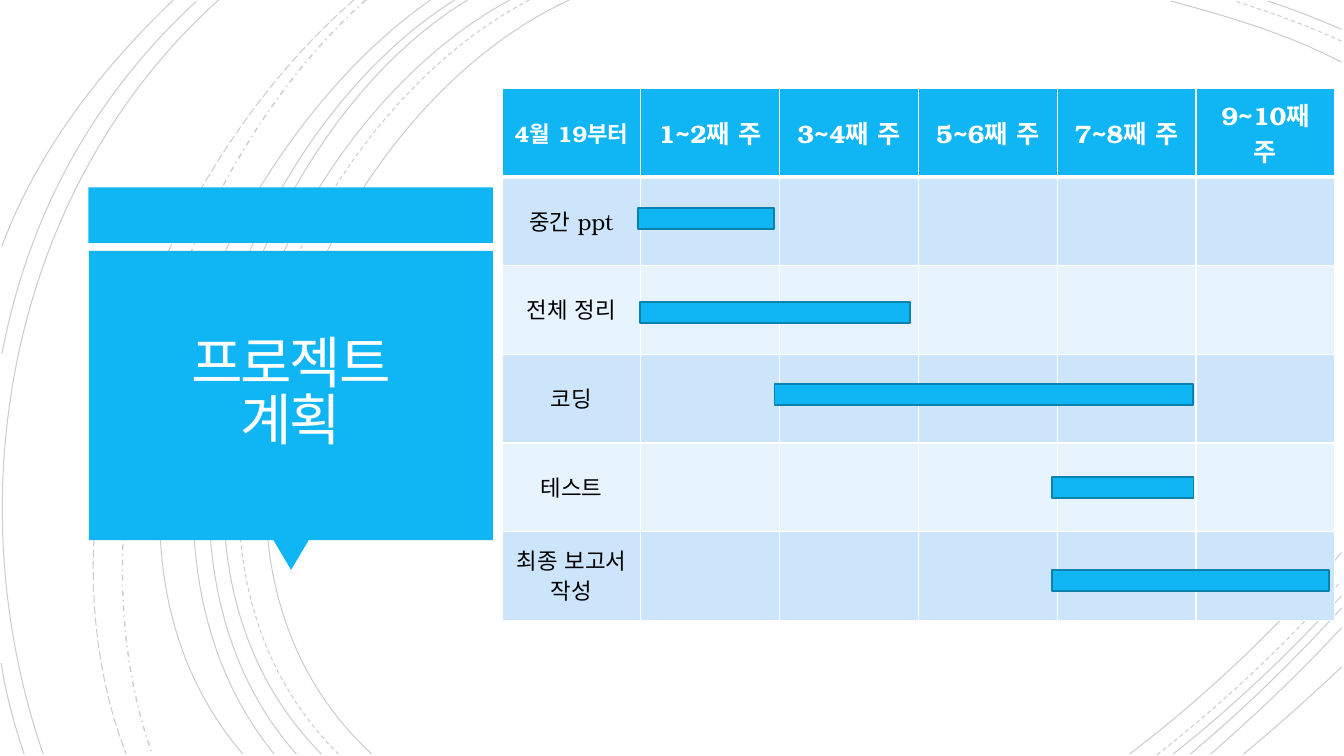
from lxml import etree
from pptx import Presentation
from pptx import util as u
from pptx.dml import color
from pptx.enum import dml, shapes, text
from pptx.oxml import ns

SKY, OUTLINE, WHITE, BLACK = "10B6F4", "0B81AD", "FFFFFF", "000000"
BANDS = ("CCE5FB", "E7F3FD")
SOLID, DASH, LONG, DASH_DOT = (dml.MSO_LINE.SOLID, dml.MSO_LINE.DASH,
                               dml.MSO_LINE.LONG_DASH, dml.MSO_LINE.DASH_DOT)
CENTER, MIDDLE = text.PP_ALIGN.CENTER, text.MSO_ANCHOR.MIDDLE

# Background arcs in cm: start, two control points, end, dash style
ARCS = [
    ((14.35, 0), (8, 2.92), (3.63, 13.72), (9.37, 19), SOLID),
    ((33.81, 1.57), (32.46, 0.86), (30.94, 0.41), (29.51, 0.03), SOLID),
    ((28.47, 19), (30.4, 17.53), (32.23, 15.8), (33.81, 13.92), SOLID),
    ((13.34, 0), (7.24, 3.18), (3.12, 13.64), (8.53, 19), DASH),
    ((33.81, 1.04), (32.94, 0.64), (32, 0.3), (31.12, 0.03), DASH),
    ((29.16, 19.02), (30.81, 17.73), (32.39, 16.26), (33.78, 14.66), DASH),
    ((12.85, 0), (6.86, 3.23), (2.79, 13.64), (8.1, 19), SOLID),
    ((33.81, 0.74), (33.2, 0.48), (32.59, 0.23), (31.95, 0.03), SOLID),
    ((29.57, 19), (31.06, 17.81), (32.51, 16.46), (33.81, 15.01), SOLID),
    ((11.79, 0), (6.2, 3.38), (2.79, 13.74), (7.47, 19), SOLID),
    ((30, 19), (31.34, 17.88), (32.61, 16.64), (33.81, 15.32), SOLID),
    ((11.46, 0), (5.87, 3.51), (2.46, 13.54), (6.91, 19), SOLID),
    ((30.51, 19), (31.65, 18.01), (32.77, 16.94), (33.81, 15.82), SOLID),
    ((10.85, 0), (5.51, 3.73), (1.35, 13.44), (6.12, 19), SOLID),
    ((31.34, 19), (32.18, 18.31), (32.99, 17.58), (33.81, 16.81), SOLID),
    ((9.22, 0), (4.47, 4.22), (1.65, 12.93), (3.84, 19), DASH_DOT),
    ((8.92, 0), (3.99, 4.29), (0.74, 12.67), (3.18, 19), LONG),
    ((5.51, 0), (0.28, 4.7), (-1.17, 12.45), (1.09, 19), SOLID),
    ((4.95, 0.03), (2.34, 2.44), (0.71, 5.44), (0.05, 8.92), SOLID),
    ((0.03, 16.71), (0.15, 17.5), (0.36, 18.26), (0.61, 19), SOLID),
    ((4.37, 0), (2.54, 1.75), (0.94, 3.81), (0.05, 6.2), SOLID),
]
WEEKS = ["4월 19부터", "1~2째 주", "3~4째 주", "5~6째 주", "7~8째 주", "9~10째 주"]
# Task, then its bar: left, top and width in cm from the schedule's corner
TASKS = [
    ("중간 ppt", 3.43, 3.02, 3.43),
    ("전체 정리", 3.48, 5.38, 6.81),
    ("코딩", 6.87, 7.44, 10.54),
    ("테스트", 13.87, 9.8, 3.56),
    ("최종 보고서\n작성", 13.87, 12.14, 6.98),
]


def paint(fill, hex_color):
    fill.solid()
    fill.fore_color.rgb = color.RGBColor.from_string(hex_color)


def apply(target, formats):
    for name, value in formats.items():
        setattr(target, name, value)


def write(frame, words, hex_color, font):
    paragraph = frame.paragraphs[0]
    paragraph.text = words
    paragraph.alignment = CENTER
    for run in paragraph.runs:
        apply(run.font, font)
        paint(run.font.fill, hex_color)
    return paragraph


def block(slide, kind, left, top, width, height, outline=None):
    part = slide.shapes.add_shape(kind, u.Cm(left), u.Cm(top), u.Cm(width), u.Cm(height))
    part.shadow.inherit = False
    paint(part.fill, SKY)
    if outline:
        paint(part.line.fill, outline)
        part.line.width = u.Pt(1.25)
    else:
        part.line.fill.background()
    return part


def draw_arcs(slide, left, top):
    for *controls, dash in ARCS:
        start, *rest = [(u.Cm(left + x), u.Cm(top + y)) for x, y in controls]
        builder = slide.shapes.build_freeform(*start)
        builder.add_line_segments(rest, close=False)
        arc = builder.convert_to_shape()
        # Turn the three segments into one Bezier curve
        outline = arc._element.find(".//" + ns.qn("a:path"))
        curve = etree.SubElement(outline, ns.qn("a:cubicBezTo"))
        for segment in outline.findall(ns.qn("a:lnTo")):
            curve.append(segment[0])
            outline.remove(segment)
        arc.shadow.inherit = False
        arc.fill.background()
        paint(arc.line.fill, BLACK)
        apply(arc.line, {"width": u.Pt(1 if dash == DASH_DOT else 0.75), "dash_style": dash})
        # Arcs are 20 % opaque
        tint = arc.line._ln.find(".//" + ns.qn("a:srgbClr"))
        etree.SubElement(tint, ns.qn("a:alpha"), val="20000")


def draw_title(slide, left, top, width):
    # Callout: band, pointer, panel
    block(slide, shapes.MSO_SHAPE.RECTANGLE, left, top, width, 1.4)
    pointer = block(slide, shapes.MSO_SHAPE.ISOSCELES_TRIANGLE, left + 4.66, top + 8.89, 0.89, 0.75)
    pointer.rotation = 180
    block(slide, shapes.MSO_SHAPE.RECTANGLE, left + 0.01, top + 1.6, width - 0.01, 7.29)
    # Title words
    title = slide.shapes.add_textbox(u.Cm(left + 0.24), u.Cm(top + 1.81),
                                     u.Cm(width - 0.46), u.Cm(6.83)).text_frame
    apply(title, {"word_wrap": True, "vertical_anchor": MIDDLE})
    apply(title, {f"margin_{side}": u.Cm(0.64) for side in ("left", "top", "right", "bottom")})
    heading = write(title, "프로젝트\n계획", "FFFEFF", {"size": u.Pt(40), "name": "Calibri"})
    heading.line_spacing = 0.85
    for run in heading.runs:
        run.font._element.set("spc", "-150")


def add_borders(cell, widths):
    properties = cell._tc.get_or_add_tcPr()
    for side, points in widths.items():
        border = etree.SubElement(properties, ns.qn(f"a:ln{side}"), w=str(u.Pt(points)))
        solid = etree.SubElement(border, ns.qn("a:solidFill"))
        etree.SubElement(solid, ns.qn("a:srgbClr"), val=WHITE)


def draw_schedule(slide, left, top, width, height):
    # Week grid
    rows = [WEEKS] + [[task[0]] for task in TASKS]
    grid = slide.shapes.add_table(len(rows), len(WEEKS), u.Cm(left), u.Cm(top),
                                  u.Cm(width), u.Cm(height)).table
    for r, row in enumerate(rows):
        header = r == 0
        for c in range(len(WEEKS)):
            cell = grid.cell(r, c)
            add_borders(cell, {"L": 1, "R": 1, "T": 3 if r == 1 else 1, "B": 3 if header else 1})
            paint(cell.fill, SKY if header else BANDS[(r - 1) % 2])
        for c, words in enumerate(row):
            cell = grid.cell(r, c)
            cell.vertical_anchor = MIDDLE
            font = {"size": u.Pt(18 if c else 16), "name": "TeX Gyre Bonum", "bold": header}
            label = write(cell.text_frame, words, WHITE if header else BLACK, font)
            # Korean letters and spaces use the same font
            for run in label.runs:
                etree.SubElement(run.font._element, ns.qn("a:ea"), typeface=font["name"])
    # Task bars
    for _, start, drop, length in TASKS:
        block(slide, shapes.MSO_SHAPE.RECTANGLE, left + start, top + drop, length, 0.53, OUTLINE)


deck = Presentation()
apply(deck, {"slide_width": u.Cm(33.87), "slide_height": u.Cm(19.05)})
plan = deck.slides.add_slide(deck.slide_layouts[6])
paint(plan.background.fill, WHITE)
draw_arcs(plan, 0, 0)
draw_title(plan, 2.23, 4.72, 10.19)
draw_schedule(plan, 12.65, 2.23, 20.99, 13.4)
deck.save("out.pptx")
